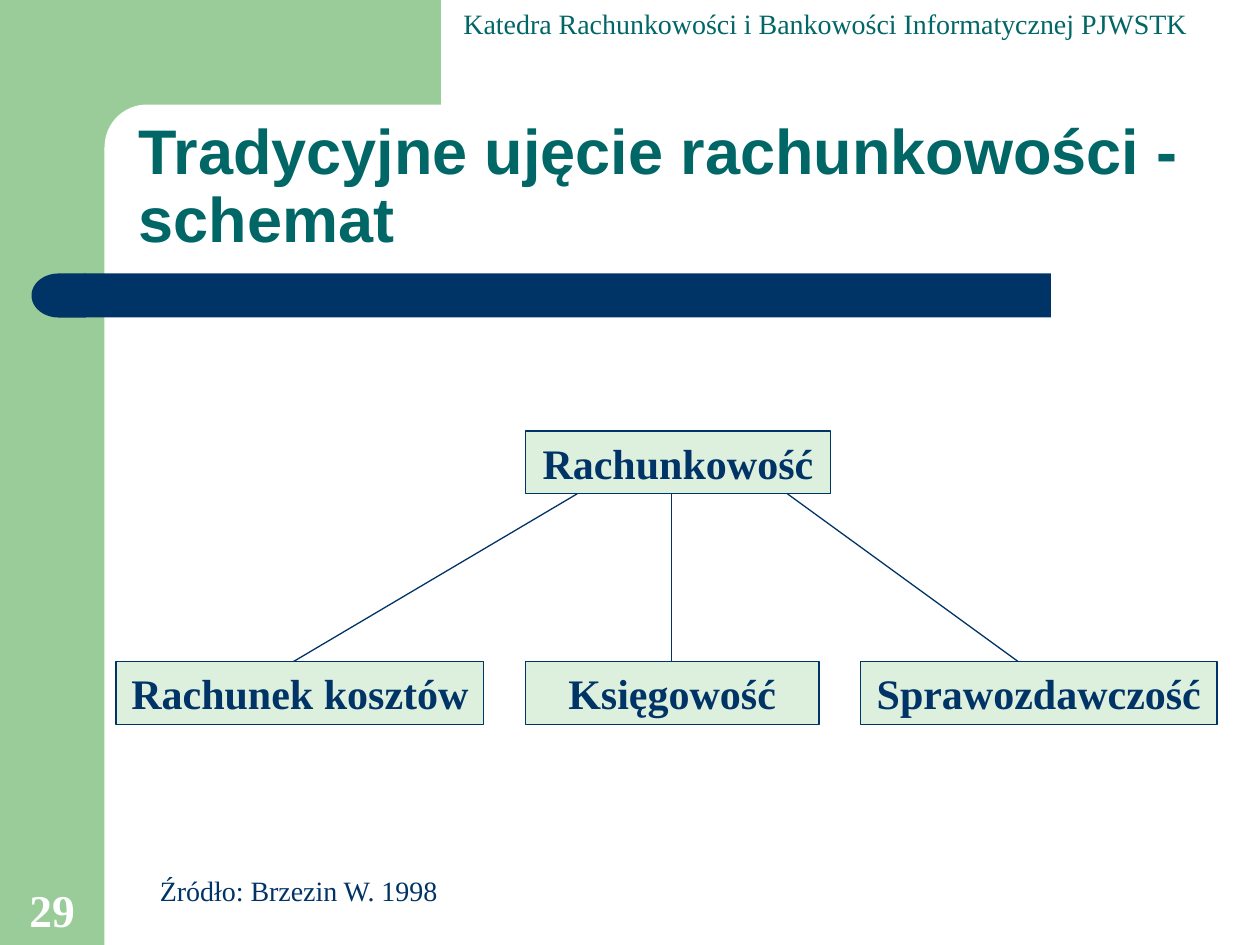
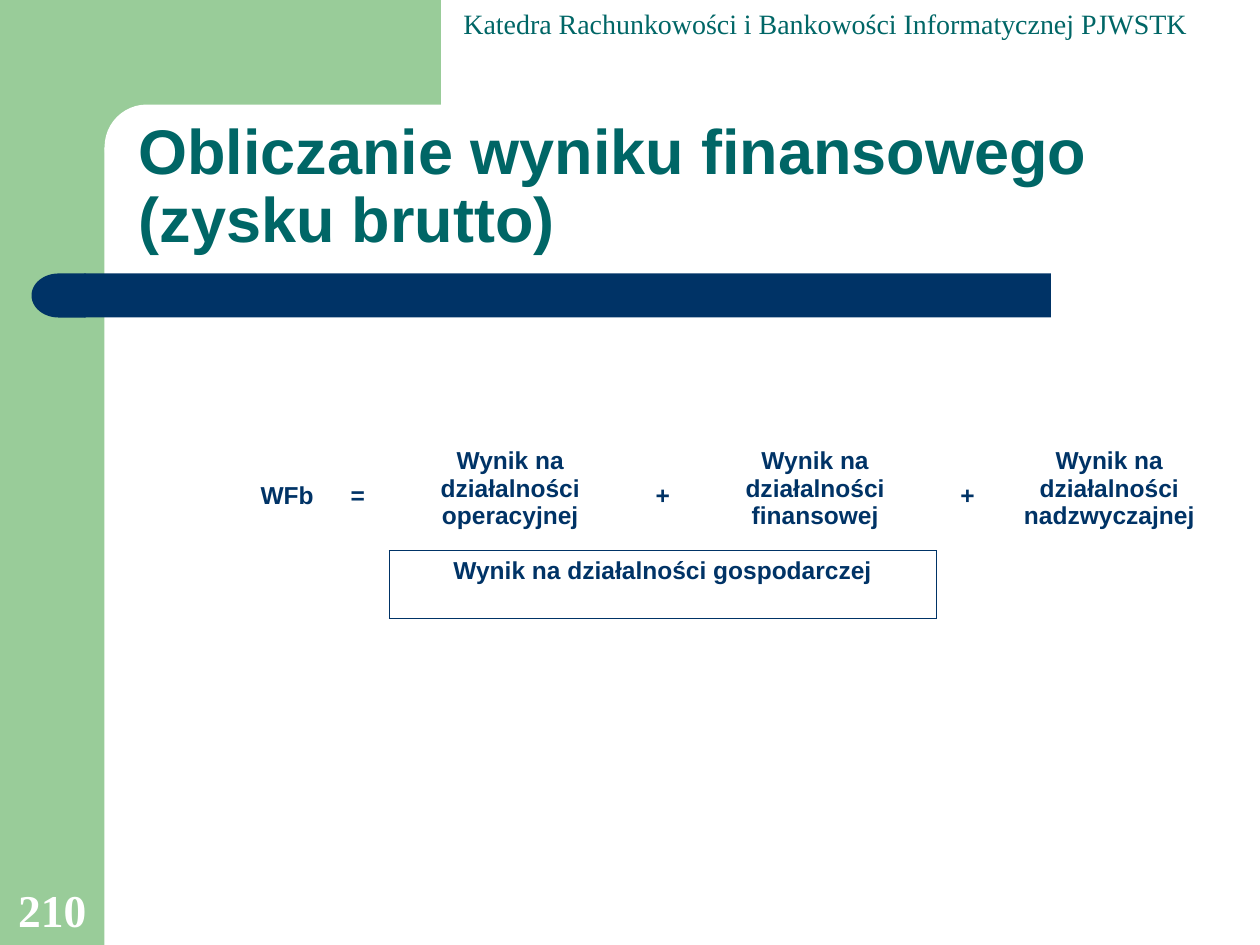
from dataclasses import dataclass

from lxml import etree
from pptx import Presentation
from pptx import util as u
from pptx.dml.color import RGBColor
from pptx.enum import shapes, text
from pptx.oxml.ns import qn


@dataclass(frozen=True)
class Theme:
    green: str = "99CC99"
    pale: str = "DDEFDD"
    navy: str = "003366"
    teal: str = "006666"
    white: str = "FFFFFF"
    sans: str = "Arial"
    serif: str = "Times New Roman"
    title: int = 36
    number: int = 26
    box: int = 24
    small: int = 16
    table: int = 14
    line: float = 0.75
    border: float = 0.45


T = Theme()
SHAPE, ALIGN, ANCHOR = shapes.MSO_SHAPE, text.PP_ALIGN, text.MSO_ANCHOR


def write(tf, words, size, font, color, bold=True, align=ALIGN.LEFT, anchor=ANCHOR.TOP):
    tf.word_wrap = True
    tf.vertical_anchor = anchor
    p = tf.paragraphs[0]
    p.alignment = align
    r = p.add_run()
    r.text = words
    r.font.size, r.font.name, r.font.bold = u.Pt(size), font, bold
    r.font.color.rgb = RGBColor.from_string(color)
    return p


def add_block(s, kind, at, fill, line=None):
    sp = s.shapes.add_shape(kind, *map(u.Inches, at))
    sp.shadow.inherit = False
    sp.fill.solid()
    sp.fill.fore_color.rgb = RGBColor.from_string(fill)
    if line:
        sp.line.color.rgb = RGBColor.from_string(line)
        sp.line.width = u.Pt(T.line)
    else:
        sp.line.fill.background()
    return sp


prs = Presentation()
prs.slide_width, prs.slide_height = u.Inches(10), u.Inches(7.5)

slides = []
for title, number in [
    ("Tradycyjne ujęcie rachunkowości - schemat", "29"),
    ("Obliczanie wyniku finansowego (zysku brutto)", "210"),
]:
    s = prs.slides.add_slide(prs.slide_layouts[5])
    slides.append(s)

    add_block(s, SHAPE.RECTANGLE, (0, 0, 0.83, 7.5), T.green)
    add_block(s, SHAPE.RECTANGLE, (0.75, 0, 2.75, 1.17), T.green)
    corner = add_block(s, SHAPE.ROUNDED_RECTANGLE, (0.83, 0.83, 5.58, 0.67), T.white)
    corner.adjustments[0] = 0.5
    add_block(s, SHAPE.RECTANGLE, (0.67, 2.17, 7.67, 0.35), T.navy)
    cap = add_block(s, SHAPE.FLOWCHART_DELAY, (0.25, 2.17, 0.43, 0.35), T.navy)
    cap.rotation = 180

    header = s.shapes.add_textbox(*map(u.Inches, (3.58, 0, 6.08, 0.37)))
    write(header.text_frame, "Katedra Rachunkowości i Bankowości Informatycznej PJWSTK",
          T.small, T.serif, T.teal, bold=False)

    ph = s.shapes.title
    ph.left, ph.top, ph.width, ph.height = map(u.Inches, (1, 0.83, 8.75, 1.25))
    ph.text_frame.auto_size = text.MSO_AUTO_SIZE.NONE
    p = write(ph.text_frame, title, T.title, T.sans, T.teal, anchor=ANCHOR.BOTTOM)
    p.line_spacing = 0.9
    ph.element.getparent().append(ph.element)

    page = s.shapes.add_textbox(*map(u.Inches, (0, 6.94, 0.83, 0.54)))
    write(page.text_frame, number, T.number, T.serif, T.white,
          align=ALIGN.CENTER, anchor=ANCHOR.BOTTOM)

scheme, result = slides

for words, left, top, width in [
    ("Rachunkowość", 4.17, 3.42, 2.42),
    ("Rachunek kosztów", 0.92, 5.25, 2.92),
    ("Księgowość", 4.17, 5.25, 2.33),
    ("Sprawozdawczość", 6.83, 5.25, 2.83),
]:
    sp = add_block(scheme, SHAPE.RECTANGLE, (left, top, width, 0.5), T.pale, T.navy)
    write(sp.text_frame, words, T.box, T.serif, T.navy, align=ALIGN.CENTER)

for x1, x2 in [(4.58, 2.33), (5.33, 5.33), (6.25, 8.08)]:
    cn = scheme.shapes.add_connector(
        shapes.MSO_CONNECTOR.STRAIGHT, *map(u.Inches, (x1, 3.92, x2, 5.25)))
    cn.line.color.rgb = RGBColor.from_string(T.navy)
    cn.line.width = u.Pt(T.line)
    etree.SubElement(cn.element.spPr, qn("a:effectLst"))

source = scheme.shapes.add_textbox(*map(u.Inches, (1.17, 6.75, 4.75, 0.5)))
write(source.text_frame, "Źródło: Brzezin W. 1998", T.small, T.serif, T.navy,
      bold=False, anchor=ANCHOR.BOTTOM)

widths = [1.67, 0.5, 1.92, 0.5, 1.92, 0.5, 1.75]
heights = [0.87, 0.54]
formula = ["WFb", "=", "Wynik na działalności operacyjnej", "+",
           "Wynik na działalności finansowej", "+", "Wynik na działalności nadzwyczajnej"]
borders = {(0, 2): "B", (0, 3): "B", (0, 4): "B", (1, 1): "R", (1, 2): "LRTB", (1, 5): "L"}

tbl = result.shapes.add_table(
    2, len(widths), *map(u.Inches, (0.92, 3.5, sum(widths), sum(heights)))).table
tbl.first_row = tbl.horz_banding = False
for col, width in zip(tbl.columns, widths):
    col.width = u.Inches(width)
for row, height in zip(tbl.rows, heights):
    row.height = u.Inches(height)

for i in range(len(heights)):
    for j in range(len(widths)):
        cell = tbl.cell(i, j)
        tcPr = cell._tc.get_or_add_tcPr()
        for side in "LRTB":
            ln = etree.SubElement(tcPr, qn(f"a:ln{side}"), w=str(u.Pt(T.border)))
            if side in borders.get((i, j), ""):
                fill = etree.SubElement(ln, qn("a:solidFill"))
                etree.SubElement(fill, qn("a:srgbClr"), val=T.navy)
            else:
                etree.SubElement(ln, qn("a:noFill"))
        cell.fill.background()

for j, words in enumerate(formula):
    cell = tbl.cell(0, j)
    write(cell.text_frame, words, T.table, T.sans, T.navy,
          align=ALIGN.CENTER if j else ALIGN.RIGHT)
    cell.vertical_anchor = ANCHOR.TOP if words.startswith("Wynik") else ANCHOR.MIDDLE

total = tbl.cell(1, 2)
total.merge(tbl.cell(1, 4))
write(total.text_frame, "Wynik na działalności gospodarczej", T.table, T.sans, T.navy,
      align=ALIGN.CENTER)

prs.save("out.pptx")
